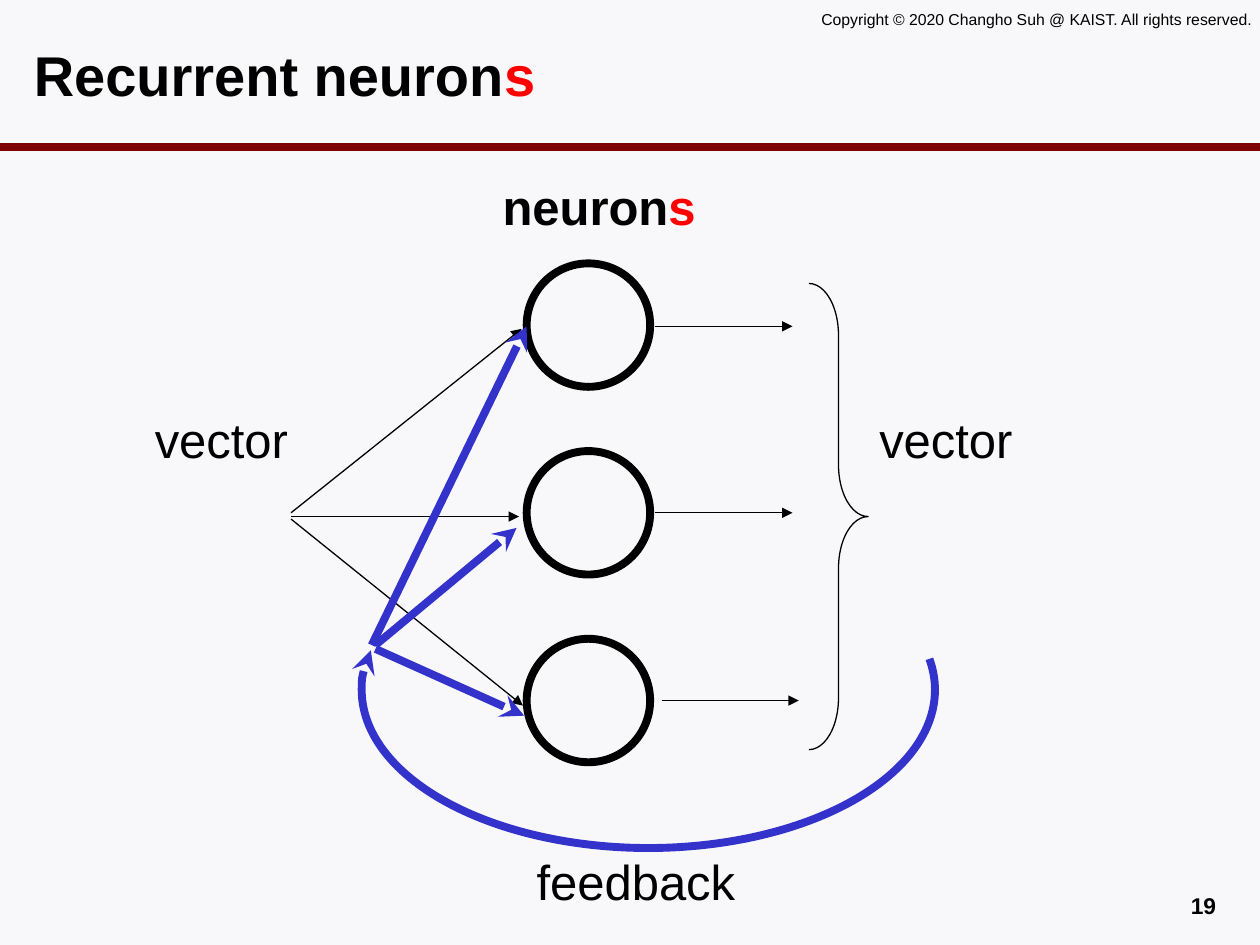
from dataclasses import dataclass, field

from pptx import Presentation
from pptx.dml.color import RGBColor
from pptx.enum.shapes import MSO_CONNECTOR, MSO_SHAPE
from pptx.enum.text import MSO_ANCHOR, PP_ALIGN
from pptx.oxml.ns import qn
from pptx.slide import Slide
from pptx.util import Inches, Pt
from lxml import etree

STRAIGHT = MSO_CONNECTOR.STRAIGHT
ELLIPSE, BRACE, ARC = MSO_SHAPE.OVAL, MSO_SHAPE.RIGHT_BRACE, MSO_SHAPE.ARC
TOP, MIDDLE = MSO_ANCHOR.TOP, MSO_ANCHOR.MIDDLE
LEFT, RIGHT = PP_ALIGN.LEFT, PP_ALIGN.RIGHT

COLORS = {
    "background": "F8F8FA",
    "rule": "800000",
    "ink": "000000",
    "accent": "FF0000",
    "feedback": "3333CC",
}
THIN, THICK = 0.75, 4.5


def rgb(name):
    return RGBColor.from_string(COLORS[name])


def add_span(para, text, *, font, size, color="ink", bold=False):
    span = para.add_run()
    span.text = text
    span.font.name = font
    span.font.size = Pt(size)
    span.font.bold = bold
    span.font.color.rgb = rgb(color)


@dataclass
class Painter:
    """Draws elements on the current page in one shared style."""
    page: Slide
    font: str = "Arial"
    insets: tuple = field(default=(0.1, 0.05))

    def text(self, place, *spans, size=28, bold=False, align=LEFT, anchor=TOP, wrap=True):
        """Add a text box; each span is a (text, color name) pair."""
        box = self.page.shapes.add_textbox(*map(Inches, place))
        frame = box.text_frame
        frame.word_wrap = wrap
        frame.vertical_anchor = anchor
        across, down = map(Inches, self.insets)
        frame.margin_left = frame.margin_right = across
        frame.margin_top = frame.margin_bottom = down
        para = frame.paragraphs[0]
        para.alignment = align
        for text, color in spans:
            add_span(para, text, font=self.font, size=size, color=color, bold=bold)

    def stroke(self, item, color, width, head):
        item.line.color.rgb = rgb(color)
        item.line.width = Pt(width)
        if head:
            outline = item.line._get_or_add_ln()
            etree.SubElement(outline, qn("a:tailEnd"), type=head)

    def line(self, start, end, color="ink", width=THIN, head=None):
        ends = map(Inches, (*start, *end))
        connector = self.page.shapes.add_connector(STRAIGHT, *ends)
        self.stroke(connector, color, width, head)
        etree.SubElement(connector._element.spPr, qn("a:effectLst"))

    def outline(self, kind, place, color="ink", width=THICK, head=None,
                adjustments=(), rotation=0):
        """Add an unfilled preset shape."""
        shape = self.page.shapes.add_shape(kind, *map(Inches, place))
        for index, value in enumerate(adjustments):
            shape.adjustments[index] = value
        shape.rotation = rotation
        shape.fill.background()
        self.stroke(shape, color, width, head)
        shape.shadow.inherit = False


def draw_frame(painter):
    painter.line((0, 1.17), (10, 1.17), "rule", THICK)
    painter.text((6.42, 0.03, 3.73, 0.25),
                 ("Copyright © 2020 Changho Suh @ KAIST. All rights reserved.", "ink"),
                 size=9, wrap=False)
    painter.text((0.17, 0.17, 9.56, 0.83), ("Recurrent neuron", "ink"), ("s", "accent"),
                 size=32, bold=True, anchor=MIDDLE)
    painter.text((7.42, 7.03, 2.33, 0.27), ("19", "ink"), size=13, bold=True, align=RIGHT)


def draw_network(painter):
    painter.text((3.89, 1.35, 2.28, 0.68), ("neuron", "ink"), ("s", "accent"), bold=True)
    for row in range(3):
        painter.outline(ELLIPSE, (4.18, 2.09 + 1.49 * row, 0.98, 0.98))

    inputs = [((2.31, 4.07), (4.14, 2.61)),
              ((2.31, 4.1), (4.12, 4.1)),
              ((2.31, 4.12), (4.15, 5.6))]
    outputs = [((left, y), (left + 1.09, y))
               for left, y in ((5.2, 2.59), (5.2, 4.07), (5.25, 5.56))]
    for start, end in inputs + outputs:
        painter.line(start, end, head="triangle")

    painter.outline(BRACE, (6.42, 2.25, 0.47, 3.7), width=THIN, adjustments=(0.874, 0.5))
    for left in (1.13, 6.88):
        painter.text((left, 3.2, 1.35, 0.68), ("vector", "ink"))


def draw_feedback(painter):
    painter.outline(ARC, (2.87, 4.22, 4.55, 2.51), "feedback", head="stealth",
                    adjustments=(104.216, 4.876), rotation=180)
    for start, end in (((2.95, 5.12), (4.18, 2.59)),
                       ((2.98, 5.12), (4.1, 4.19)),
                       ((2.98, 5.15), (4.16, 5.68))):
        painter.line(start, end, "feedback", THICK, "stealth")
    painter.text((4.16, 6.71, 2.09, 0.56), ("feedback", "ink"))


def main():
    deck = Presentation()
    deck.slide_width, deck.slide_height = Inches(10), Inches(7.5)
    page = deck.slides.add_slide(deck.slide_layouts[6])
    page.background.fill.solid()
    page.background.fill.fore_color.rgb = rgb("background")

    painter = Painter(page)
    draw_frame(painter)
    draw_network(painter)
    draw_feedback(painter)
    deck.save("out.pptx")


if __name__ == "__main__":
    main()
